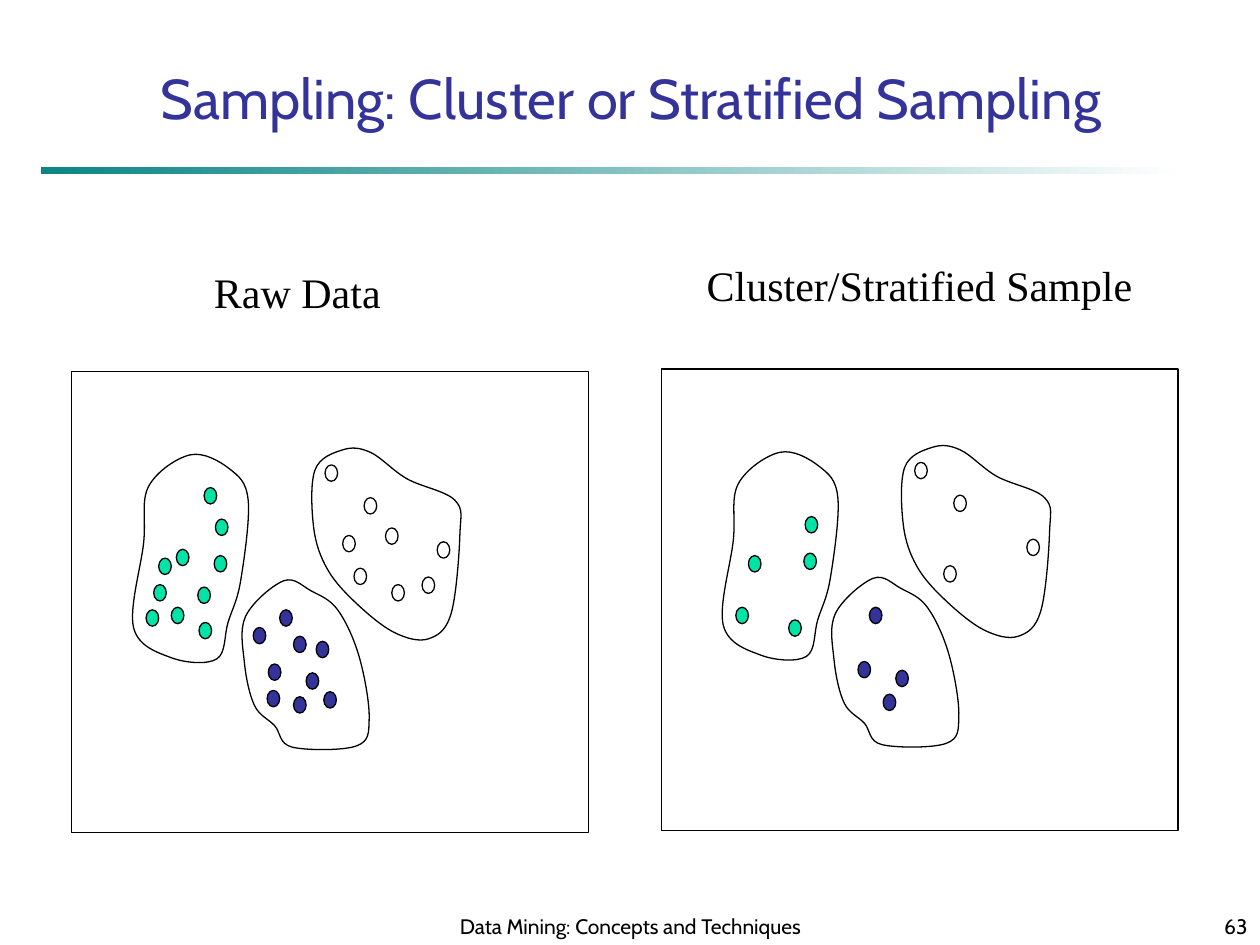
"""Build a slide that compares raw data with a cluster or stratified sample."""
from lxml import etree
from pptx import Presentation
from pptx.dml.color import RGBColor
from pptx.enum.shapes import MSO_SHAPE
from pptx.enum.text import MSO_ANCHOR, MSO_AUTO_SIZE, PP_ALIGN
from pptx.oxml.ns import qn
from pptx.util import Inches, Pt

RECTANGLE, DOT = MSO_SHAPE.RECTANGLE, MSO_SHAPE.FLOWCHART_CONNECTOR
TOP, BOTTOM = MSO_ANCHOR.TOP, MSO_ANCHOR.BOTTOM
LEFT, CENTER, RIGHT = PP_ALIGN.LEFT, PP_ALIGN.CENTER, PP_ALIGN.RIGHT
FIT_SHAPE, NO_FIT = MSO_AUTO_SIZE.SHAPE_TO_FIT_TEXT, MSO_AUTO_SIZE.NONE

BLACK = RGBColor(0x00, 0x00, 0x00)
WHITE = RGBColor(0xFF, 0xFF, 0xFF)
TEAL = RGBColor(0x00, 0x80, 0x80)
INDIGO = RGBColor(0x33, 0x33, 0x99)
GREEN = RGBColor(0x00, 0xE4, 0xA8)

PANEL_OFFSETS = {"raw": (0, 0), "sample": (4.68, -0.02)}

CLUSTERS = [
    {
        "color": WHITE,
        "sampled": [(2.89, 3.95), (2.81, 4.51), (3.47, 4.3), (2.58, 3.69)],
        "skipped": [(3.06, 4.19), (2.72, 4.25), (3.35, 4.58), (3.11, 4.64)],
        "outline": [(3.61, 3.97), (3.65, 4.24), (3.58, 4.87), (3.4, 5.07), (3.13, 5.02), (2.83, 4.79),
                    (2.6, 4.52), (2.49, 4.19), (2.5, 3.73), (2.72, 3.57), (2.94, 3.59), (3.23, 3.8)],
    },
    {
        "color": INDIGO,
        "sampled": [(2.33, 5.53), (2.43, 5.34), (2.13, 5.27), (2.22, 4.84)],
        "skipped": [(2.01, 4.98), (2.51, 5.09), (2.12, 5.48), (2.33, 5.05), (2.57, 5.49)],
        "outline": [(2.25, 4.61), (2.47, 4.69), (2.68, 4.84), (2.85, 5.21), (2.93, 5.7), (2.83, 5.92),
                    (2.32, 5.93), (2.18, 5.76), (2.02, 5.6), (1.94, 5.26), (1.95, 4.89)],
    },
    {
        "color": GREEN,
        "sampled": [(1.16, 4.84), (1.26, 4.43), (1.58, 4.94), (1.7, 4.41), (1.71, 4.12)],
        "skipped": [(1.36, 4.82), (1.22, 4.64), (1.57, 4.66), (1.4, 4.36), (1.62, 3.87)],
        "outline": [(1.51, 3.61), (1.82, 3.72), (1.97, 3.97), (1.91, 4.61), (1.81, 4.94), (1.72, 5.23),
                    (1.36, 5.22), (1.06, 4.98), (1.14, 4.31), (1.18, 3.86)],
    },
]


def add_text(text, left, top, width, height, size, font="Cabin", color=BLACK,
             align=CENTER, anchor=BOTTOM, wrap=True, fit=NO_FIT):
    box = slide.shapes.add_textbox(Inches(left), Inches(top), Inches(width), Inches(height))
    frame = box.text_frame
    frame.word_wrap = wrap
    frame.auto_size = fit
    frame.vertical_anchor = anchor
    paragraph = frame.paragraphs[0]
    paragraph.alignment = align
    run = paragraph.add_run()
    run.text = text
    run.font.name = font
    run.font.size = Pt(size)
    run.font.color.rgb = color


def style_shape(shape, color=None):
    shape.shadow.inherit = False
    shape.line.color.rgb = BLACK
    shape.line.width = Pt(0.75)
    if color is None:
        shape.fill.background()
    else:
        shape.fill.solid()
        shape.fill.fore_color.rgb = color


presentation = Presentation()
presentation.slide_width = Inches(10)
presentation.slide_height = Inches(7.5)
slide = presentation.slides.add_slide(presentation.slide_layouts[6])

rule = slide.shapes.add_shape(RECTANGLE, Inches(0.33), Inches(1.33), Inches(9), Inches(0.05))
rule.shadow.inherit = False
rule.line.fill.background()
rule.fill.gradient()
rule.fill.gradient_angle = 180
for stop, color in zip(rule.fill.gradient_stops, (WHITE, TEAL)):
    stop.color.rgb = color
teal_element = rule._element.spPr.findall(".//" + qn("a:srgbClr"))[-1]
etree.SubElement(teal_element, qn("a:alpha"), val="95000")

add_text("Sampling: Cluster or Stratified Sampling", 0.25, 0.42, 9.52, 0.67, 32, color=INDIGO)

for panel, (shift_x, shift_y) in PANEL_OFFSETS.items():
    group = slide.shapes.add_group_shape()
    border = group.shapes.add_shape(RECTANGLE, Inches(0.57 + shift_x), Inches(2.95 + shift_y),
                                    Inches(4.1), Inches(3.66))
    style_shape(border)
    for cluster in CLUSTERS:
        dots = cluster["sampled"] + (cluster["skipped"] if panel == "raw" else [])
        for x, y in dots:
            dot = group.shapes.add_shape(DOT, Inches(x + shift_x), Inches(y + shift_y),
                                         Inches(0.1), Inches(0.13))
            style_shape(dot, cluster["color"])

        anchors = [(Inches(x + shift_x), Inches(y + shift_y)) for x, y in cluster["outline"]]
        curve_points = []
        for index, start in enumerate(anchors):
            before = anchors[index - 1]
            end = anchors[(index + 1) % len(anchors)]
            after = anchors[(index + 2) % len(anchors)]
            curve_points.append([s + (e - b) / 6 for b, s, e in zip(before, start, end)])
            curve_points.append([e - (a - s) / 6 for s, e, a in zip(start, end, after)])
            curve_points.append(end)
        builder = group.shapes.build_freeform(*anchors[0])
        builder.add_line_segments(curve_points, close=True)
        outline = builder.convert_to_shape()
        style_shape(outline)
        segments = outline._element.findall(".//" + qn("a:lnTo"))
        for first, second, third in zip(segments[::3], segments[1::3], segments[2::3]):
            first.tag = qn("a:cubicBezTo")
            for segment in (second, third):
                first.append(segment[0])
                segment.getparent().remove(segment)

for label, left, top, width in (("Raw Data", 1.6, 2.07, 1.6),
                                ("Cluster/Stratified Sample", 5.51, 2.01, 3.58)):
    add_text(label, left, top, width, 0.5, 24, font="Times New Roman",
             align=LEFT, anchor=TOP, wrap=False, fit=FIT_SHAPE)

add_text("Data Mining: Concepts and Techniques", 3.42, 7.08, 3.17, 0.42, 12)
add_text("63", 7.92, 7.08, 2.08, 0.42, 12, align=RIGHT)

presentation.save("out.pptx")
